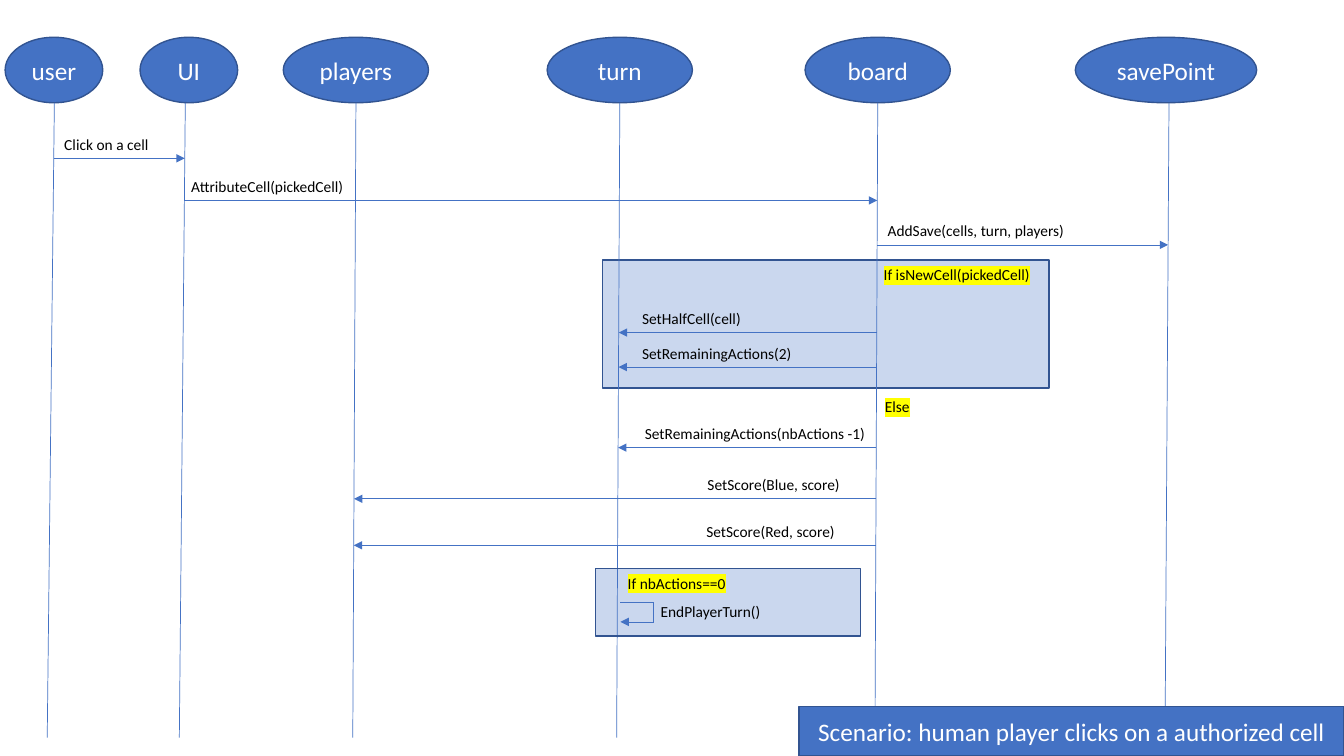
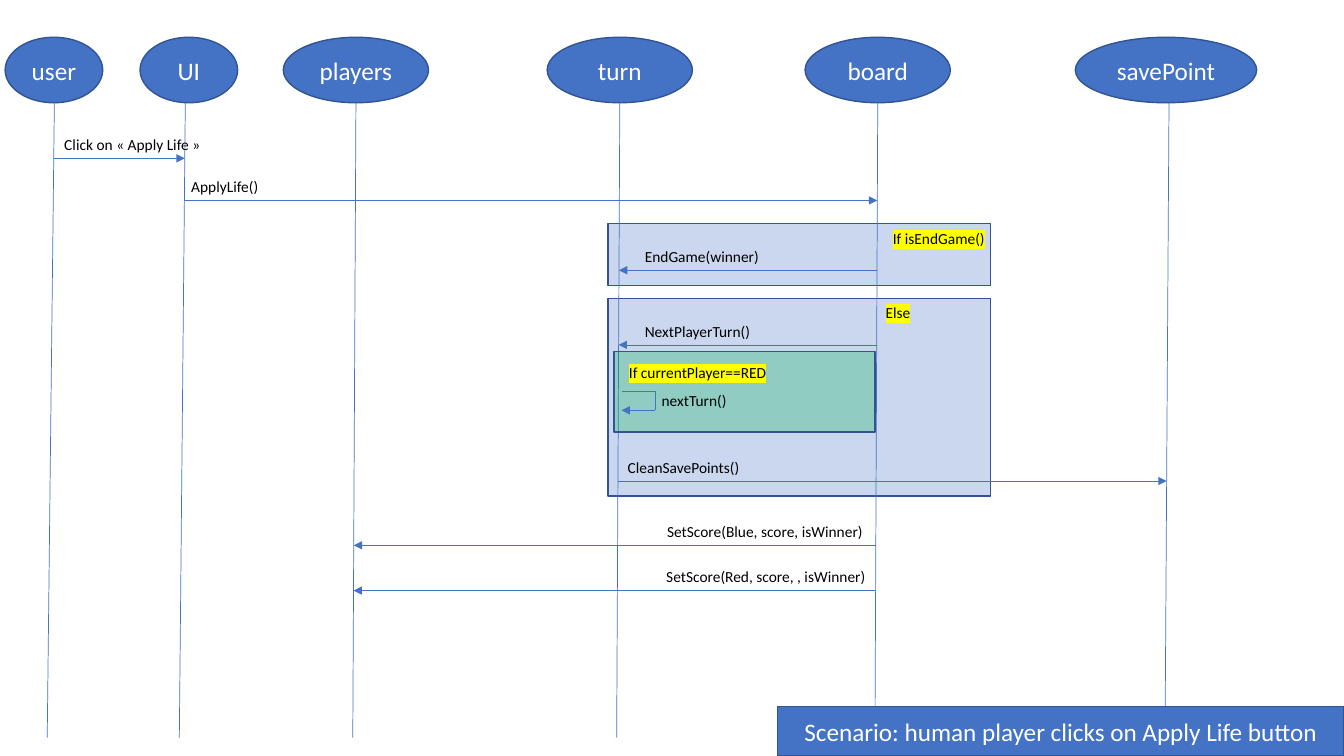
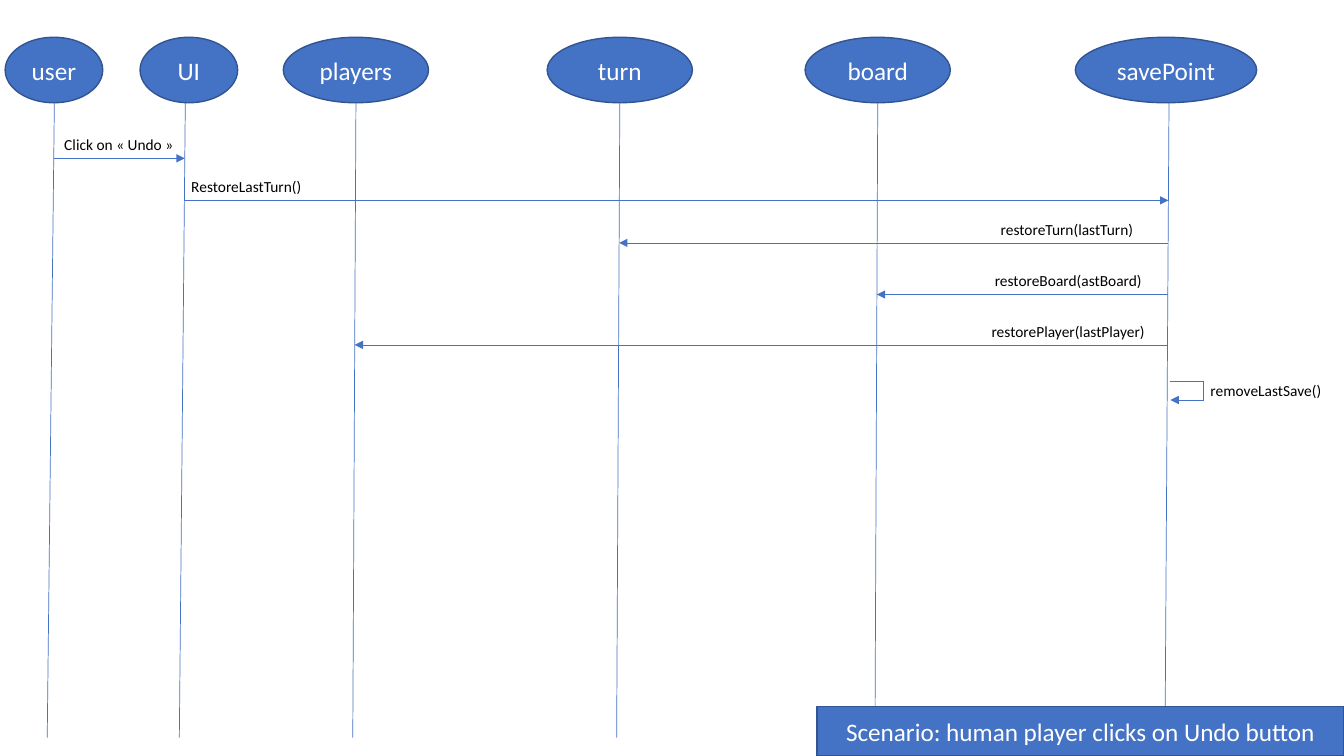
from dataclasses import dataclass

import pptx
import pptx.dml.color
import pptx.enum.shapes
import pptx.enum.text
import pptx.oxml.ns
import pptx.util
from lxml import etree
from pptx.util import Cm, Pt

SHAPE = pptx.enum.shapes.MSO_SHAPE
STRAIGHT = pptx.enum.shapes.MSO_CONNECTOR.STRAIGHT
qn = pptx.oxml.ns.qn


@dataclass(frozen=True)
class Theme:
    font: str = "Calibri"
    blue: str = "4472C4"
    outline: str = "325491"
    green: str = "00B050"
    white: str = "FFFFFF"
    black: str = "000000"
    yellow: str = "FFFF00"
    heading: int = 18
    label: int = 11
    border: float = 1
    line: float = 0.5
    frame_alpha: int = 28


THEME = Theme()

# All lengths are in centimetres.
SLIDE_W, SLIDE_H = 33.87, 19.05
HEAD_TOP, HEAD_H, LIFELINE_END = 0.94, 1.65, 18.59
LIFELINE_START = HEAD_TOP + HEAD_H
BANNER_TOP = 17.81
LABEL_H, LABEL_RISE, LABEL_W = 0.74, 0.71, 4.62
LOOP_W, LOOP_H, LOOP_GAP = 0.84, 0.48, 0.08

# name: head left, head width, lifeline x at the top, lifeline x at the bottom
PARTICIPANTS = {
    "user": (0.13, 2.46, 1.37, 1.19),
    "UI": (3.53, 2.46, 4.67, 4.52),
    "players": (7.14, 3.66, 8.97, 8.89),
    "turn": (13.79, 3.66, 15.62, 15.54),
    "board": (20.29, 3.66, 22.12, 22.05),
    "savePoint": (27.1, 4.57, 29.46, 29.36),
}

# back, front: frames below and above the lifelines (left, top, width, height, colour)
# messages: text, sender, receiver, arrow y, label left, label width
# guards: text, left, top, width
# loop: text, participant, top
SCENARIOS = [
    dict(
        title="Scenario: human player clicks on a authorized cell",
        title_left=20.14,
        back=[(15.19, 6.55, 11.25, 3.23, THEME.blue)],
        front=[(15.01, 14.33, 6.68, 1.7, THEME.blue)],
        messages=[
            ("Click on a cell", "user", "UI", 3.99, 1.37, 4.04),
            ("AttributeCell(pickedCell)", "UI", "board", 5.05, 4.57, 4.5),
            ("AddSave(cells, turn, players)", "board", "savePoint", 6.17, 22.12, 5.03),
            ("SetHalfCell(cell)", "board", "turn", 8.38, 15.93, LABEL_W),
            ("SetRemainingActions(2)", "board", "turn", 9.25, 15.93, LABEL_W),
            ("SetRemainingActions(nbActions -1)", "board", "turn", 11.28, 16, 6.07),
            ("SetScore(Blue, score)", "board", "players", 12.57, 17.58, LABEL_W),
            ("SetScore(Red, score)", "board", "players", 13.74, 17.55, LABEL_W),
        ],
        guards=[
            ("If isNewCell(pickedCell)", 22.02, 6.55, 4.57),
            ("Else", 22.05, 9.88, 1.65),
            ("If nbActions==0", 15.57, 14.33, 4.57),
        ],
        loop=("EndPlayerTurn()", "turn", 15.19),
    ),
    dict(
        title="Scenario: human player clicks on Apply Life button",
        title_left=19.6,
        back=[
            (15.32, 7.52, 9.65, 4.98, THEME.blue),
            (15.32, 5.64, 9.65, 1.55, THEME.blue),
        ],
        front=[(15.47, 8.86, 6.58, 2.03, THEME.green)],
        messages=[
            ("Click on « Apply Life »", "user", "UI", 3.99, 1.37, 4.04),
            ("ApplyLife()", "UI", "board", 5.05, 4.57, 4.5),
            ("EndGame(winner)", "board", "turn", 6.81, 16, LABEL_W),
            ("NextPlayerTurn()", "board", "turn", 8.69, 16, LABEL_W),
            ("CleanSavePoints()", "turn", "savePoint", 12.12, 15.57, 5.03),
            ("SetScore(Blue, score, isWinner)", "board", "players", 13.74, 16.56, 5.64),
            ("SetScore(Red, score, , isWinner)", "board", "players", 14.88, 16.54, 5.64),
        ],
        guards=[
            ("If isEndGame()", 22.25, 5.66, 4.57),
            ("Else", 22.07, 7.52, 1.65),
            ("If currentPlayer==RED", 15.6, 9.02, 4.57),
        ],
        loop=("nextTurn()", "turn", 9.86),
    ),
    dict(
        title="Scenario: human player clicks on Undo button",
        title_left=20.59,
        back=[],
        front=[],
        messages=[
            ("Click on « Undo »", "user", "UI", 3.99, 1.37, 4.04),
            ("RestoreLastTurn()", "UI", "savePoint", 5.05, 4.57, 3.58),
            ("restoreTurn(lastTurn)", "savePoint", "turn", 6.12, 24.97, 4.17),
            ("restoreBoard(astBoard)", "savePoint", "board", 7.42, 24.82, 4.42),
            ("restorePlayer(lastPlayer)", "savePoint", "players", 8.69, 24.74, 4.42),
        ],
        guards=[],
        loop=("removeLastSave()", "savePoint", 9.6),
    ),
]


def rgb(colour):
    return pptx.dml.color.RGBColor.from_string(colour)


def write(frame, text, size, colour):
    frame.word_wrap = True
    run = frame.paragraphs[0].add_run()
    run.text = text
    run.font.size = Pt(size)
    run.font.color.rgb = rgb(colour)
    run.font.name = THEME.font
    return run


def add_block(shapes, preset, left, top, width, height, colour, alpha=None):
    block = shapes.add_shape(preset, Cm(left), Cm(top), Cm(width), Cm(height))
    block.shadow.inherit = False
    block.fill.solid()
    block.fill.fore_color.rgb = rgb(colour)
    block.line.color.rgb = rgb(THEME.outline)
    block.line.width = Pt(THEME.border)
    if alpha is not None:
        tint = block.fill._xPr.find(qn("a:solidFill"))[0]
        etree.SubElement(tint, qn("a:alpha"), val=str(alpha * 1000))
    return block


def add_titled_block(shapes, preset, text, *box):
    frame = add_block(shapes, preset, *box, THEME.blue).text_frame
    frame.vertical_anchor = pptx.enum.text.MSO_ANCHOR.MIDDLE
    frame.paragraphs[0].alignment = pptx.enum.text.PP_ALIGN.CENTER
    write(frame, text, THEME.heading, THEME.white)


def add_line(shapes, x1, y1, x2, y2, arrow=False):
    line = shapes.add_connector(STRAIGHT, Cm(x1), Cm(y1), Cm(x2), Cm(y2))
    line.line.color.rgb = rgb(THEME.blue)
    line.line.width = Pt(THEME.line)
    if arrow:
        etree.SubElement(line.line._get_or_add_ln(), qn("a:tailEnd"), type="triangle")
    etree.SubElement(line._element.spPr, qn("a:effectLst"))


def add_label(shapes, text, left, top, width, highlight=False):
    box = shapes.add_textbox(Cm(left), Cm(top), Cm(width), Cm(LABEL_H))
    run = write(box.text_frame, text, THEME.label, THEME.black)
    box.text_frame.auto_size = pptx.enum.text.MSO_AUTO_SIZE.SHAPE_TO_FIT_TEXT
    if highlight:
        mark = etree.Element(qn("a:highlight"))
        etree.SubElement(mark, qn("a:srgbClr"), val=THEME.yellow)
        run._r.rPr.find(qn("a:solidFill")).addnext(mark)


def lifeline_x(name, y):
    """Where the slightly slanted lifeline stands at height y."""
    start, end = PARTICIPANTS[name][2:]
    return start + (end - start) * (y - LIFELINE_START) / (LIFELINE_END - LIFELINE_START)


def add_frames(shapes, frames):
    for *box, colour in frames:
        add_block(shapes, SHAPE.RECTANGLE, *box, colour, THEME.frame_alpha)


def add_participants(shapes):
    for name, (left, width, start, end) in PARTICIPANTS.items():
        add_titled_block(shapes, SHAPE.OVAL, name, left, HEAD_TOP, width, HEAD_H)
        add_line(shapes, start, LIFELINE_START, end, LIFELINE_END)


def add_loop(shapes, text, name, top):
    """A call that a participant makes to itself."""
    left = lifeline_x(name, top) + LOOP_GAP
    right, bottom = left + LOOP_W, top + LOOP_H
    sides = shapes.add_group_shape().shapes
    add_line(sides, left, top, right, top)
    add_line(sides, right, top, right, bottom)
    add_line(sides, right, bottom, left, bottom, arrow=True)
    label_left = right - 0.08
    add_label(shapes, text, label_left, top - 0.13, min(LABEL_W, SLIDE_W - label_left))


def add_scenario(shapes, scenario):
    add_frames(shapes, scenario["back"])
    add_participants(shapes)
    add_frames(shapes, scenario["front"])
    for text, sender, receiver, y, left, width in scenario["messages"]:
        add_line(shapes, lifeline_x(sender, y), y, lifeline_x(receiver, y), y, arrow=True)
        add_label(shapes, text, left, y - LABEL_RISE, width)
    for guard in scenario["guards"]:
        add_label(shapes, *guard, highlight=True)
    add_loop(shapes, *scenario["loop"])
    left = scenario["title_left"]
    add_titled_block(shapes, SHAPE.RECTANGLE, scenario["title"],
                     left, BANNER_TOP, SLIDE_W - left, SLIDE_H - BANNER_TOP)


def main():
    deck = pptx.Presentation()
    deck.slide_width, deck.slide_height = Cm(SLIDE_W), Cm(SLIDE_H)
    for scenario in SCENARIOS:
        add_scenario(deck.slides.add_slide(deck.slide_layouts[6]).shapes, scenario)
    deck.save("out.pptx")


if __name__ == "__main__":
    main()
